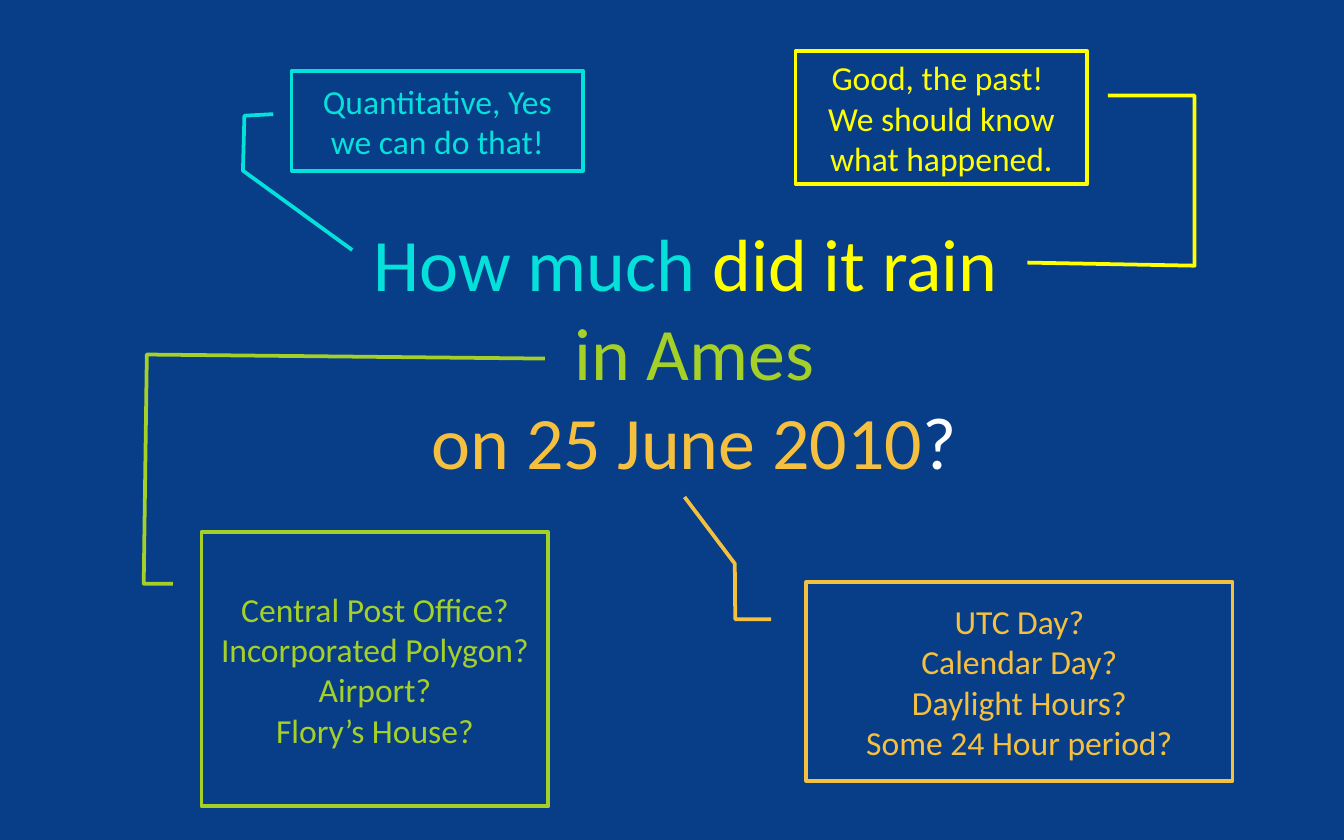
import pptx
import pptx.dml.color
import pptx.enum.shapes
import pptx.enum.text
import pptx.util

Inches = pptx.util.Inches
Pt = pptx.util.Pt
RGBColor = pptx.dml.color.RGBColor

NAVY = RGBColor(0x07, 0x3E, 0x87)
CYAN = RGBColor(0x05, 0xE0, 0xDB)
YELLOW = RGBColor(0xFF, 0xFF, 0x00)
GREEN = RGBColor(0xA5, 0xD0, 0x28)
ORANGE = RGBColor(0xF5, 0xC0, 0x40)
WHITE = RGBColor(0xFF, 0xFF, 0xFF)


class QuestionSlide:
    """Style and current slide, with one method per kind of element."""

    font_name = "Calibri"
    title_size = Pt(39.6)
    callout_size = Pt(18)
    line_width = Pt(2)

    def __init__(self, deck):
        self.page = deck.slides.add_slide(deck.slide_layouts[0])
        background = self.page.background.fill
        background.solid()
        background.fore_color.rgb = NAVY
        subtitle = self.page.placeholders[1].element
        subtitle.getparent().remove(subtitle)

    def set_up_text(self, shape):
        frame = shape.text_frame
        frame.word_wrap = True
        frame.auto_size = pptx.enum.text.MSO_AUTO_SIZE.NONE
        frame.vertical_anchor = pptx.enum.text.MSO_ANCHOR.MIDDLE
        return frame

    def style(self, para, size):
        para.alignment = pptx.enum.text.PP_ALIGN.CENTER
        para.font.name = self.font_name
        para.font.size = size

    def title(self, left, top, width, height, lines):
        """Each line is a list of (text, colour) pairs."""
        box = self.page.shapes.title
        box.left, box.top = Inches(left), Inches(top)
        box.width, box.height = Inches(width), Inches(height)
        para = self.set_up_text(box).paragraphs[0]
        self.style(para, self.title_size)
        for index, line in enumerate(lines):
            if index:
                para.add_line_break()
            for text, color in line:
                span = para.add_run()
                span.text = text
                span.font.name = self.font_name
                span.font.size = self.title_size
                span.font.color.rgb = color

    def callout(self, left, top, width, height, color, leader, text):
        """Leader holds four (y, x) points as fractions of the box."""
        box = self.page.shapes.add_shape(
            pptx.enum.shapes.MSO_SHAPE.LINE_CALLOUT_3,
            Inches(left), Inches(top), Inches(width), Inches(height))
        box.shadow.inherit = False
        box.fill.background()
        box.line.color.rgb = color
        box.line.width = self.line_width
        for index, value in enumerate(sum(leader, ())):
            box.adjustments[index] = value
        frame = self.set_up_text(box)
        frame.text = text
        for para in frame.paragraphs:
            self.style(para, self.callout_size)
            para.font.color.rgb = color


def main():
    deck = pptx.Presentation()
    deck.slide_width, deck.slide_height = Inches(10), Inches(6.25)
    slide = QuestionSlide(deck)

    # Central question, one colour per part
    slide.title(1.58, 1.94, 7.17, 1.34, [
        [("How much ", CYAN), ("did it rain ", YELLOW)],
        [("in Ames", GREEN)],
        [("on 25 June 2010", ORANGE), ("?", WHITE)],
    ])

    # Callouts above: quantity and tense
    slide.callout(2.17, 0.53, 2.17, 0.74, CYAN,
                  [(0.432, -0.063), (0.448, -0.162), (1, -0.167), (1.798, 0.208)],
                  "Quantitative, Yes we can do that!")
    slide.callout(5.92, 0.38, 2.17, 0.99, YELLOW,
                  [(0.335, 1.071), (0.335, 1.368), (1.613, 1.368), (1.59, 0.795)],
                  "Good, the past! \vWe should know what happened.")

    # Callouts below: place and time
    slide.callout(1.5, 3.96, 2.58, 2.04, GREEN,
                  [(0.188, -0.083), (0.188, -0.167), (-0.648, -0.158), (-0.633, 0.99)],
                  "Central Post Office?\nIncorporated Polygon?\nAirport?\nFlory’s House?")
    slide.callout(6, 4.33, 3.17, 1.48, ORANGE,
                  [(0.188, -0.083), (0.188, -0.167), (-0.092, -0.168), (-0.427, -0.286)],
                  "UTC Day?\nCalendar Day?\nDaylight Hours?\nSome 24 Hour period?")

    deck.save("out.pptx")


if __name__ == "__main__":
    main()
